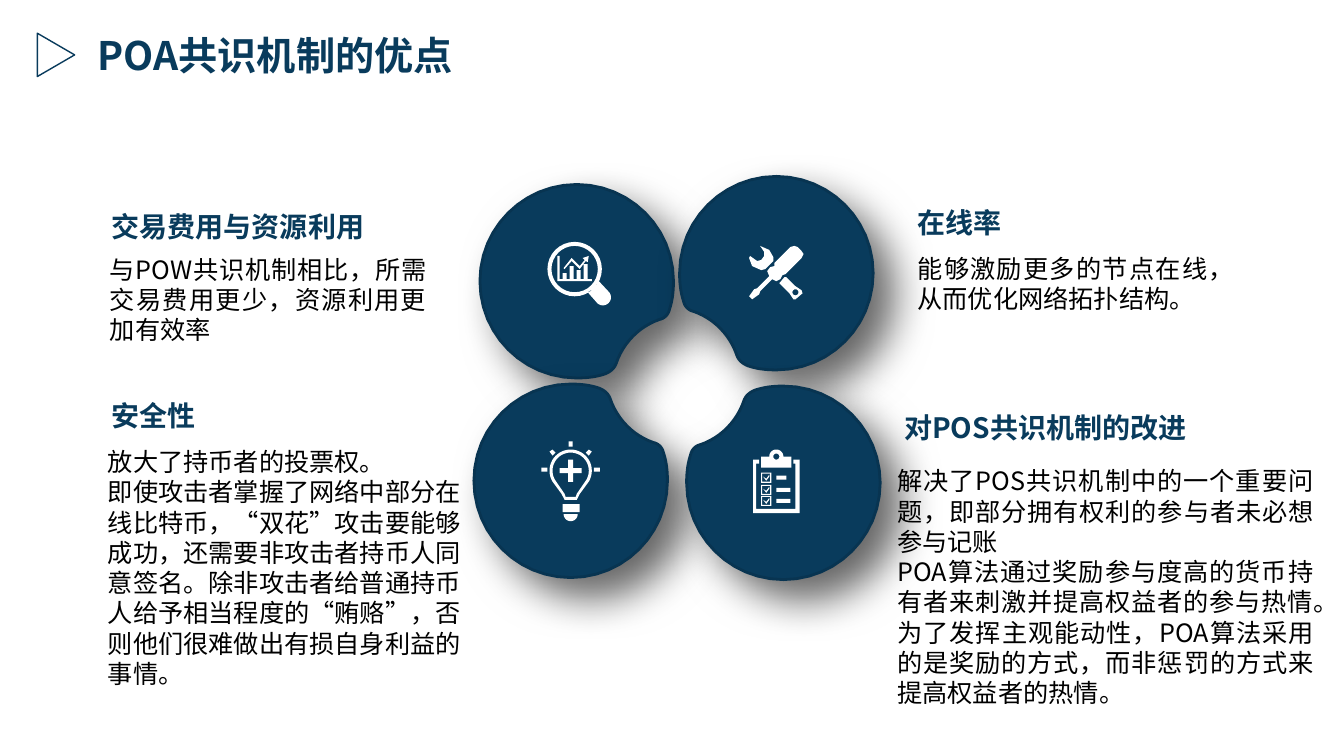
import math
from dataclasses import dataclass

import pptx
import pptx.dml.color
import pptx.enum.shapes
import pptx.enum.text
import pptx.oxml
import pptx.oxml.ns
import pptx.util
from pptx.util import Inches

ALIGN = pptx.enum.text.PP_ALIGN


@dataclass(frozen=True)
class Theme:
    font: str = "Noto Sans CJK SC"
    navy: str = "093B5C"
    edge: str = "083451"
    white: str = "FFFFFF"
    black: str = "000000"
    title: int = 28
    heading: int = 20
    body: int = 18


THEME = Theme()
PETAL = 1.92  # side of a petal's box

# Petal outline with its notch at the lower right: start, then Bezier curves
PETAL_START = (0.96, 0)
PETAL_CURVES = [
    ((1.49, 0), (1.92, 0.43), (1.92, 0.96)),
    ((1.92, 1.06), (1.91, 1.15), (1.88, 1.24)),
    ((1.87, 1.29), (1.83, 1.33), (1.78, 1.34)),
    ((1.58, 1.41), (1.42, 1.57), (1.35, 1.78)),
    ((1.33, 1.83), (1.29, 1.86), (1.24, 1.88)),
    ((1.15, 1.91), (1.06, 1.92), (0.96, 1.92)),
    ((0.43, 1.92), (0, 1.49), (0, 0.96)),
    ((0, 0.43), (0.43, 0), (0.96, 0)),
]


def color(value):
    return pptx.dml.color.RGBColor.from_string(value)


# Outlines, as lists of points in inches
def arc(x, y, radius, start=0, end=360):
    steps = 32
    angles = [math.radians(start + (end - start) * i / steps) for i in range(steps + 1)]
    return [(x + radius * math.cos(a), y + radius * math.sin(a)) for a in angles]


def box(x, y, width, height):
    return [(x, y), (x + width, y), (x + width, y + height), (x, y + height)]


def petal_outline(flip_x, flip_y):
    points = [PETAL_START]
    for b, c, d in PETAL_CURVES:
        a = points[-1]
        for t in [i / 12 for i in range(1, 13)]:
            weights = ((1 - t) ** 3, 3 * t * (1 - t) ** 2, 3 * t * t * (1 - t), t ** 3)
            points.append(tuple(sum(w * p[k] for w, p in zip(weights, (a, b, c, d)))
                                for k in (0, 1)))
    return [(PETAL - x if flip_x else x, PETAL - y if flip_y else y) for x, y in points]


def magnifier():
    handle = [(0.4, 0.5)] + arc(0.55, 0.55, 0.08, 135, -45) + [(0.51, 0.39), (0.46, 0.46)]
    trend = [(0.16, 0.26), (0.24, 0.16), (0.32, 0.24), (0.37, 0.18), (0.35, 0.16),
             (0.41, 0.14), (0.4, 0.2), (0.38, 0.19), (0.32, 0.27), (0.24, 0.19), (0.17, 0.27)]
    bars = [box(0.15 + 0.07 * i, top, 0.04, 0.37 - top)
            for i, top in enumerate((0.31, 0.24, 0.28, 0.22))]
    axes = [box(0.1, 0.14, 0.02, 0.23), box(0.1, 0.37, 0.34, 0.02)]
    return [arc(0.27, 0.27, 0.27), arc(0.27, 0.27, 0.23), handle, trend, *bars, *axes]


def tools():
    wrench = [(0.11, 0), (0.15, 0.06), (0.15, 0.1), (0.12, 0.14), (0.08, 0.15), (0.01, 0.1),
              (0, 0.12), (0.03, 0.2), (0.12, 0.24), (0.16, 0.23), (0.24, 0.15), (0.24, 0.11),
              (0.2, 0.04)]
    driver = [(0.52, 0.05), (0.48, 0.01), (0.45, 0), (0.41, 0.01), (0.25, 0.17), (0.25, 0.2),
              (0.21, 0.21), (0.18, 0.25), (0.2, 0.3), (0.08, 0.42), (0.05, 0.43), (0, 0.5),
              (0.03, 0.53), (0.1, 0.48), (0.11, 0.45), (0.23, 0.33), (0.27, 0.35),
              (0.31, 0.33), (0.33, 0.29), (0.36, 0.28), (0.52, 0.12), (0.54, 0.08)]
    handle = [(0.35, 0.31), (0.3, 0.37), (0.4, 0.47), (0.44, 0.53), (0.46, 0.53),
              (0.53, 0.47), (0.52, 0.44), (0.46, 0.4), (0.37, 0.31)]
    return [wrench, driver, handle, arc(0.46, 0.46, 0.03)]


def bulb():
    glass = arc(0.29, 0.29, 0.21, 150, 390) + [(0.38, 0.52), (0.35, 0.58), (0.23, 0.58), (0.2, 0.52)]
    inside = arc(0.29, 0.29, 0.18, 150, 390) + [(0.35, 0.52), (0.34, 0.55), (0.24, 0.55), (0.23, 0.52)]
    long, thin = 0.11, 0.025
    plus = [(0.29 + x, 0.29 + y) for x, y in [
        (-thin, -long), (thin, -long), (thin, -thin), (long, -thin), (long, thin), (thin, thin),
        (thin, long), (-thin, long), (-thin, thin), (-long, thin), (-long, -thin), (-thin, -thin)]]
    left_ray = [(0.08, 0.1), (0.11, 0.08), (0.14, 0.11), (0.11, 0.14)]
    right_ray = [(0.58 - x, y) for x, y in left_ray]
    rays = [box(0, 0.26, 0.06, 0.04), box(0.52, 0.26, 0.06, 0.04), box(0.27, 0, 0.04, 0.05)]
    base = [box(0.21, 0.62, 0.17, 0.08), arc(0.29, 0.72, 0.07, 0, 180)]
    return [glass, inside, plus, left_ray, right_ray, *rays, *base]


def clipboard():
    frame = [(0.06, 0.1), (0, 0.1), (0, 0.63), (0.46, 0.63), (0.46, 0.1), (0.4, 0.1),
             (0.4, 0.14), (0.42, 0.14), (0.42, 0.59), (0.03, 0.59), (0.03, 0.14), (0.06, 0.14)]
    clip = [(0.08, 0.18), (0.08, 0.07), *arc(0.23, 0.07, 0.07, 180, 360), (0.38, 0.07), (0.38, 0.18)]
    outlines = [frame, clip, arc(0.23, 0.07, 0.03)]
    for top, length in ((0.23, 0.1), (0.35, 0.14), (0.46, 0.14)):
        check = [(0.1, top + 0.04), (0.13, top + 0.06), (0.16, top + 0.02),
                 (0.16, top + 0.04), (0.13, top + 0.08)]
        outlines += [box(0.08, top, 0.1, 0.1), box(0.09, top + 0.01, 0.08, 0.08), check,
                     box(0.23, top + 0.03, length, 0.04)]
    return outlines


def add_outlines(slide, left, top, outlines, fill):
    builder = None
    for outline in outlines:
        points = [(Inches(x), Inches(y)) for x, y in outline]
        if builder is None:
            builder = slide.shapes.build_freeform(*points[0], scale=1.0)
        else:
            builder.move_to(*points[0])
        builder.add_line_segments(points[1:], close=True)
    shape = builder.convert_to_shape(Inches(left), Inches(top))
    shape.shadow.inherit = False
    shape.fill.solid()
    shape.fill.fore_color.rgb = color(fill)
    shape.line.fill.background()
    return shape


def add_petal(slide, left, top, flip_x, flip_y, icon, icon_x, icon_y):
    petal = add_outlines(slide, left, top, [petal_outline(flip_x, flip_y)], THEME.navy)
    petal.line.color.rgb = color(THEME.edge)
    petal.line.width = pptx.util.Pt(2)
    effects = petal._element.spPr.find(pptx.oxml.ns.qn("a:effectLst"))
    effects.append(pptx.oxml.parse_xml(
        f'<a:outerShdw {pptx.oxml.ns.nsdecls("a")} blurRad="{pptx.util.Pt(30)}" '
        f'dist="{pptx.util.Pt(20)}" dir="2700000" algn="tl" rotWithShape="0">'
        f'<a:srgbClr val="{THEME.black}"><a:alpha val="60000"/></a:srgbClr></a:outerShdw>'))
    add_outlines(slide, left + icon_x, top + icon_y, icon(), THEME.white)


def write(shape, bounds, lines, size, ink, bold=False, align=ALIGN.LEFT):
    shape.left, shape.top, shape.width, shape.height = map(Inches, bounds)
    frame = shape.text_frame
    frame.word_wrap = True
    frame.auto_size = pptx.enum.text.MSO_AUTO_SIZE.NONE
    frame.vertical_anchor = pptx.enum.text.MSO_ANCHOR.TOP
    frame.text = "\n".join(lines)
    for paragraph in frame.paragraphs:
        paragraph.alignment = align
        paragraph.line_spacing = 1.0
        paragraph.space_before = pptx.util.Pt(0)
        properties = paragraph._p.get_or_add_pPr()
        properties.set("marL", "0")
        properties.set("indent", "0")
        pptx.oxml.ns.qn("a:buNone")
        properties.append(pptx.oxml.parse_xml(f'<a:buNone {pptx.oxml.ns.nsdecls("a")}/>'))
        font = paragraph.font
        font.size, font.bold, font.name = pptx.util.Pt(size), bold, THEME.font
        font.color.rgb = color(ink)
        properties.find(pptx.oxml.ns.qn("a:defRPr")).append(pptx.oxml.parse_xml(
            f'<a:ea {pptx.oxml.ns.nsdecls("a")} typeface="{THEME.font}"/>'))


def add_header(slide, left, top, title):
    triangle = slide.shapes.add_shape(
        pptx.enum.shapes.MSO_SHAPE.ISOSCELES_TRIANGLE,
        Inches(left), Inches(top + 0.1), Inches(0.43), Inches(0.37))
    triangle.rotation = 90
    triangle.shadow.inherit = False
    triangle.fill.background()
    triangle.line.color.rgb = color(THEME.navy)
    triangle.line.width = pptx.util.Pt(1)
    write(slide.shapes.title, (left + 0.53, top, 7.99, 0.57), [title],
          THEME.title, THEME.navy, bold=True)


def add_advantage(slide, placeholder, heading, heading_at, lines, bounds, align=ALIGN.JUSTIFY):
    label = slide.shapes.add_textbox(0, 0, 0, 0)
    write(label, (*heading_at, 3.34, 0.44), [heading], THEME.heading, THEME.navy, bold=True)
    write(placeholder, bounds, lines, THEME.body, THEME.black, align=align)


def main():
    presentation = pptx.Presentation()
    presentation.slide_width, presentation.slide_height = Inches(13.33), Inches(7.5)
    slide = presentation.slides.add_slide(presentation.slide_layouts.get_by_name("Comparison"))
    body = [slide.placeholders[index] for index in (1, 2, 3, 4)]

    add_header(slide, 0.34, 0.26, "POA共识机制的优点")

    # Four petals with their icons
    add_petal(slide, 4.76, 1.83, False, False, magnifier, 0.67, 0.57)
    add_petal(slide, 4.7, 3.81, False, True, bulb, 0.67, 0.57)
    add_petal(slide, 6.74, 1.75, True, False, tools, 0.69, 0.69)
    add_petal(slide, 6.81, 3.83, True, True, clipboard, 0.66, 0.63)

    # Four advantages around the petals
    add_advantage(slide, body[0], "交易费用与资源利用", (1.01, 2.03),
                  ["与POW共识机制相比，所需交易费用更少，资源利用更加有效率"], (0.99, 2.47, 3.34, 1.01))
    add_advantage(slide, body[1], "安全性", (1.01, 3.9), [
        "放大了持币者的投票权。",
        "即使攻击者掌握了网络中部分在线比特币，“双花”攻击要能够成功，还需要非攻击者持币人同意签名。"
        "除非攻击者给普通持币人给予相当程度的“贿赂”，否则他们很难做出有损自身利益的事情。",
    ], (0.97, 4.38, 3.77, 2.52), ALIGN.LEFT)
    add_advantage(slide, body[2], "在线率", (9, 1.99),
                  ["能够激励更多的节点在线，从而优化网络拓扑结构。"], (9, 2.46, 3.34, 0.71))
    add_advantage(slide, body[3], "对POS共识机制的改进", (8.87, 4.02), [
        "解决了POS共识机制中的一个重要问题，即部分拥有权利的参与者未必想参与记账",
        "POA算法通过奖励参与度高的货币持有者来刺激并提高权益者的参与热情。"
        "为了发挥主观能动性，POA算法采用的是奖励的方式，而非惩罚的方式来提高权益者的热情。",
    ], (8.8, 4.57, 4.33, 2.52))

    presentation.save("out.pptx")


if __name__ == "__main__":
    main()
